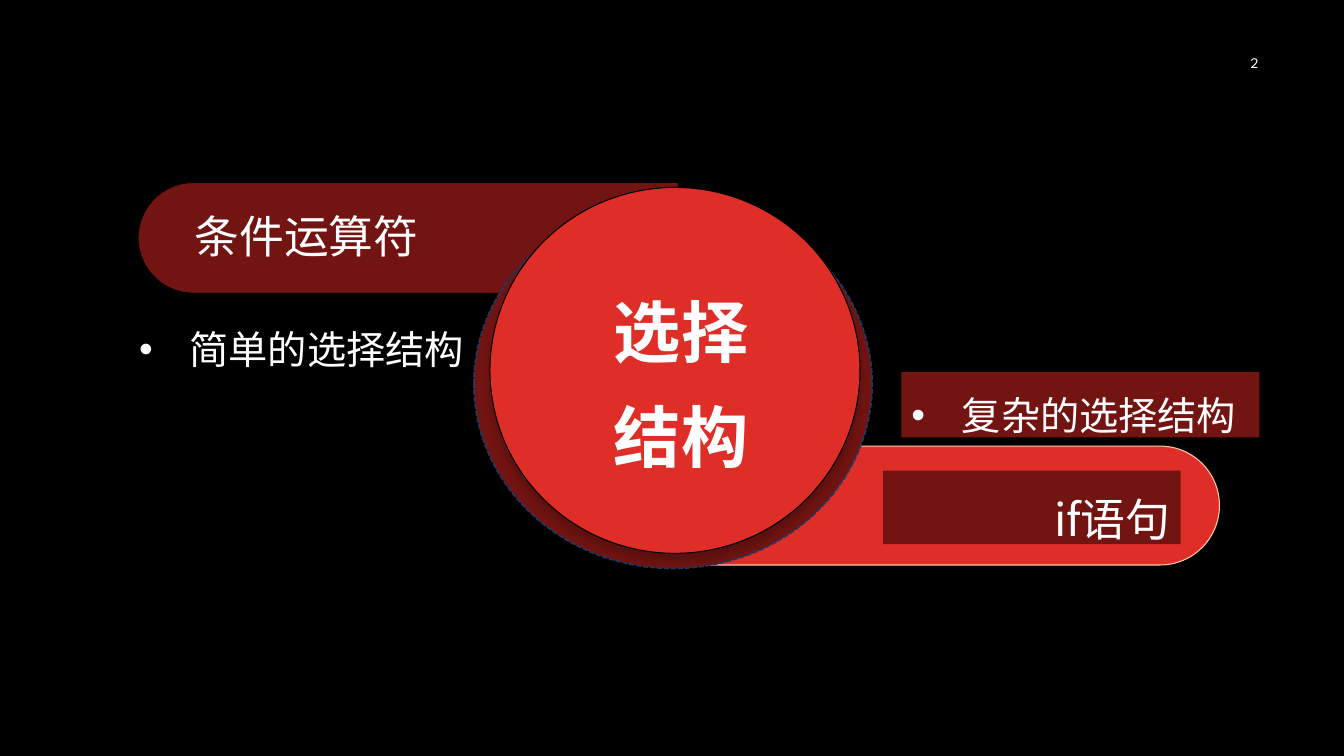
from lxml.etree import SubElement
from pptx import Presentation
from pptx.dml.color import RGBColor
from pptx.enum.dml import MSO_LINE
from pptx.enum.shapes import MSO_SHAPE
from pptx.enum.text import MSO_ANCHOR, MSO_AUTO_SIZE, PP_ALIGN
from pptx.oxml.ns import qn
from pptx.util import Inches, Pt

BLACK = RGBColor(0x00, 0x00, 0x00)
WHITE = RGBColor(0xFF, 0xFF, 0xFF)
RED = RGBColor(0xDF, 0x2E, 0x28)
DARK = RGBColor(0x72, 0x14, 0x11)
PEACH = RGBColor(0xFF, 0xCC, 0xA3)
NAVY = RGBColor(0x20, 0x38, 0x64)
SANS = "Noto Sans CJK SC"
LEFT, MID, RIGHT = PP_ALIGN.LEFT, PP_ALIGN.CENTER, PP_ALIGN.RIGHT
TOP, CORE = MSO_ANCHOR.TOP, MSO_ANCHOR.MIDDLE
BAR, DISC = MSO_SHAPE.ROUND_2_SAME_RECTANGLE, MSO_SHAPE.OVAL

# Content: preset, box, turn, fill, line, width, dash, shadow
SHAPES = [
    (BAR, (8.8, 2.31, 1.18, 5.41), 90, RED, PEACH, 0.75, None, True),
    (BAR, (3.5, -0.32, 1.1, 5.36), 270, DARK, BLACK, 0.75, None, True),
    (DISC, (4.7, 1.98, 3.95, 3.66), 0, DARK, NAVY, 1.25, MSO_LINE.SQUARE_DOT, False),
    (DISC, (4.86, 1.86, 3.67, 3.63), 0, RED, BLACK, 0.75, None, True),
]
# Placeholder index or None, box, lines, size, font, bold, align, anchor, fill, spacing
TEXTS = [
    (0, (5.53, 2.63, 2.45, 2.1), ["选择", "结构"], 48, SANS, True, MID, CORE, None, 1.3),
    (None, (1.83, 1.89, 2.77, 0.73), ["条件运算符"], 32, SANS, False, LEFT, CORE, None, 1.3),
    (None, (8.76, 4.67, 2.95, 0.73), ["if语句"], 32, SANS, False, RIGHT, TOP, DARK, 1.3),
    (1, (1.28, 3.04, 3.57, 0.65), ["简单的选择结构"], 28, "Lato", False, LEFT, TOP, None, 1.3),
    (2, (8.94, 3.69, 3.55, 0.65), ["复杂的选择结构"], 28, "Lato", False, LEFT, TOP, DARK, 1.3),
    (None, (9.58, 0.42, 3, 0.4), ["2"], 10.5, "League Spartan", False, RIGHT, CORE, None, 1),
]


def apply(item, values):
    for name, value in values.items():
        setattr(item, name, value)


def shade(shape):
    """Soft shadow just below the shape."""
    cast = SubElement(shape._element.spPr.find(qn("a:effectLst")), qn("a:outerShdw"),
                      blurRad=str(Pt(7)), dist=str(Pt(5)), dir="5400000",
                      algn="ctr", rotWithShape="0")
    tint = SubElement(cast, qn("a:srgbClr"), val=str(BLACK))
    SubElement(tint, qn("a:alpha"), val="20000")


def bullet(para):
    props = para._p.get_or_add_pPr()
    props.set("marL", str(Inches(0.5)))
    props.set("indent", str(Inches(-0.5)))
    SubElement(props, qn("a:buFont"), typeface="Arial")
    SubElement(props, qn("a:buChar"), char="•")


def draw(slide, kind, box, turn, fill, line, width, dash, cast):
    shape = slide.shapes.add_shape(kind, *map(Inches, box))
    shape.rotation = turn
    if kind == BAR:
        shape.adjustments[0], shape.adjustments[1] = 0.5, 0
    shape.fill.solid()
    shape.fill.fore_color.rgb = fill
    shape.line.color.rgb = line
    apply(shape.line, {"width": Pt(width), "dash_style": dash})
    shape.shadow.inherit = False
    if cast:
        shade(shape)


def write(slide, slot, box, lines, size, face, bold, align, anchor, fill, gap):
    if slot is None:
        shape = slide.shapes.add_textbox(*map(Inches, box))
    else:
        shape = slide.placeholders[slot]
        slide.shapes._spTree.append(shape._element)  # bring to front
        apply(shape, dict(zip(("left", "top", "width", "height"), map(Inches, box))))
    if fill is not None:
        shape.fill.solid()
        shape.fill.fore_color.rgb = fill
    frame = shape.text_frame
    frame.text = "\n".join(lines)
    apply(frame, {"word_wrap": True, "auto_size": MSO_AUTO_SIZE.NONE,
                  "vertical_anchor": anchor,
                  "margin_left": Inches(0.1), "margin_right": Inches(0.1),
                  "margin_top": Inches(0.05), "margin_bottom": Inches(0.05)})
    for para in frame.paragraphs:
        apply(para, {"alignment": align, "line_spacing": gap,
                     "space_before": Pt(0), "space_after": Pt(0)})
        if slot in (1, 2):
            bullet(para)
        for run in para.runs:
            apply(run.font, {"size": Pt(size), "bold": bold, "name": face})
            run.font.color.rgb = WHITE
            SubElement(run.font._element, qn("a:ea"), typeface=SANS)


def main():
    deck = Presentation()
    apply(deck, {"slide_width": Inches(13.33), "slide_height": Inches(7.5)})
    slide = deck.slides.add_slide(deck.slide_layouts.get_by_name("Two Content"))
    slide.background.fill.solid()
    slide.background.fill.fore_color.rgb = BLACK
    # Bars and discs, then the wording over them
    for item in SHAPES:
        draw(slide, *item)
    for item in TEXTS:
        write(slide, *item)
    deck.save("out.pptx")


if __name__ == "__main__":
    main()
